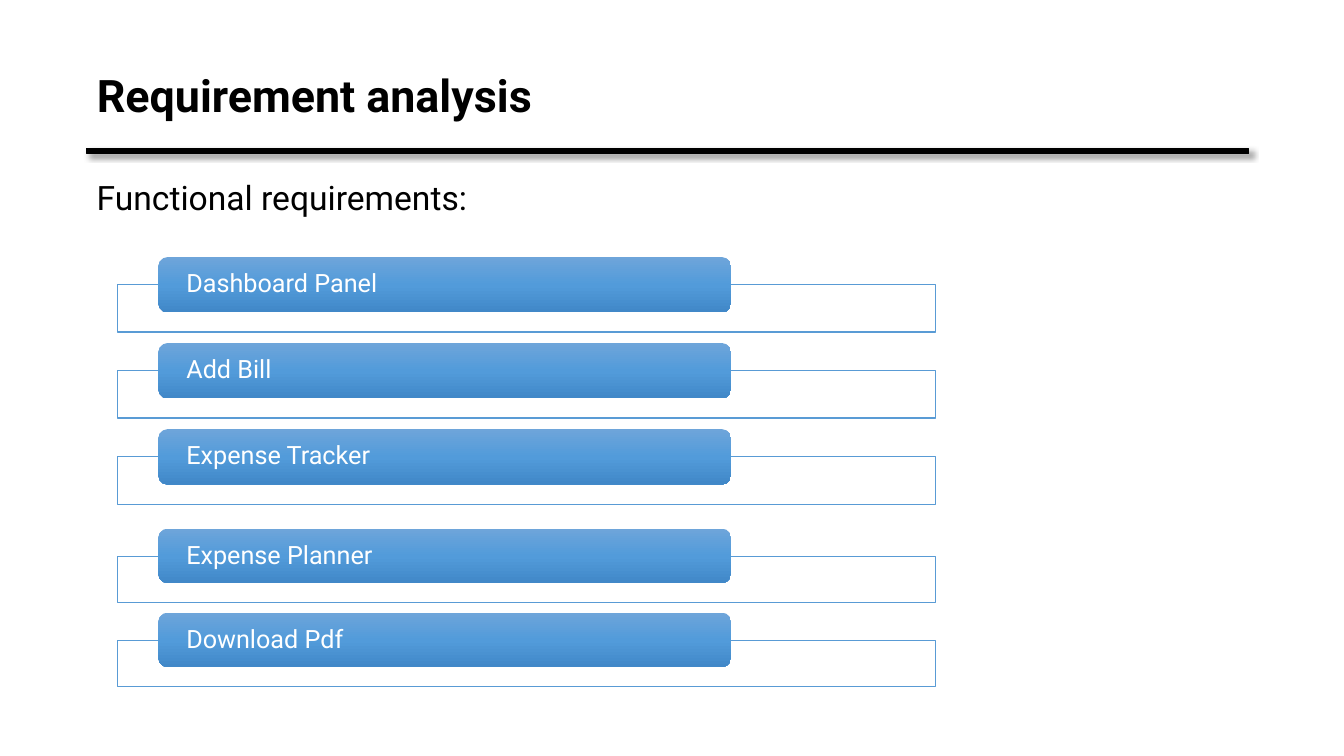
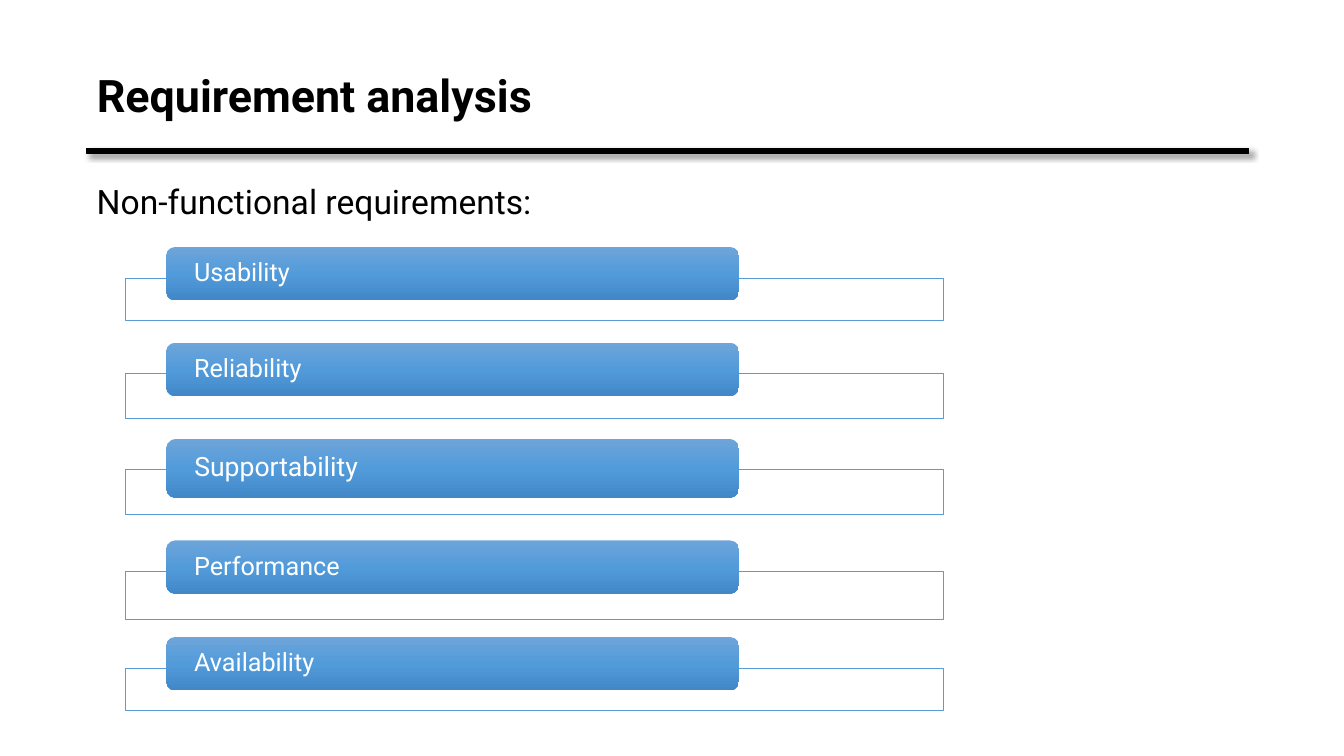
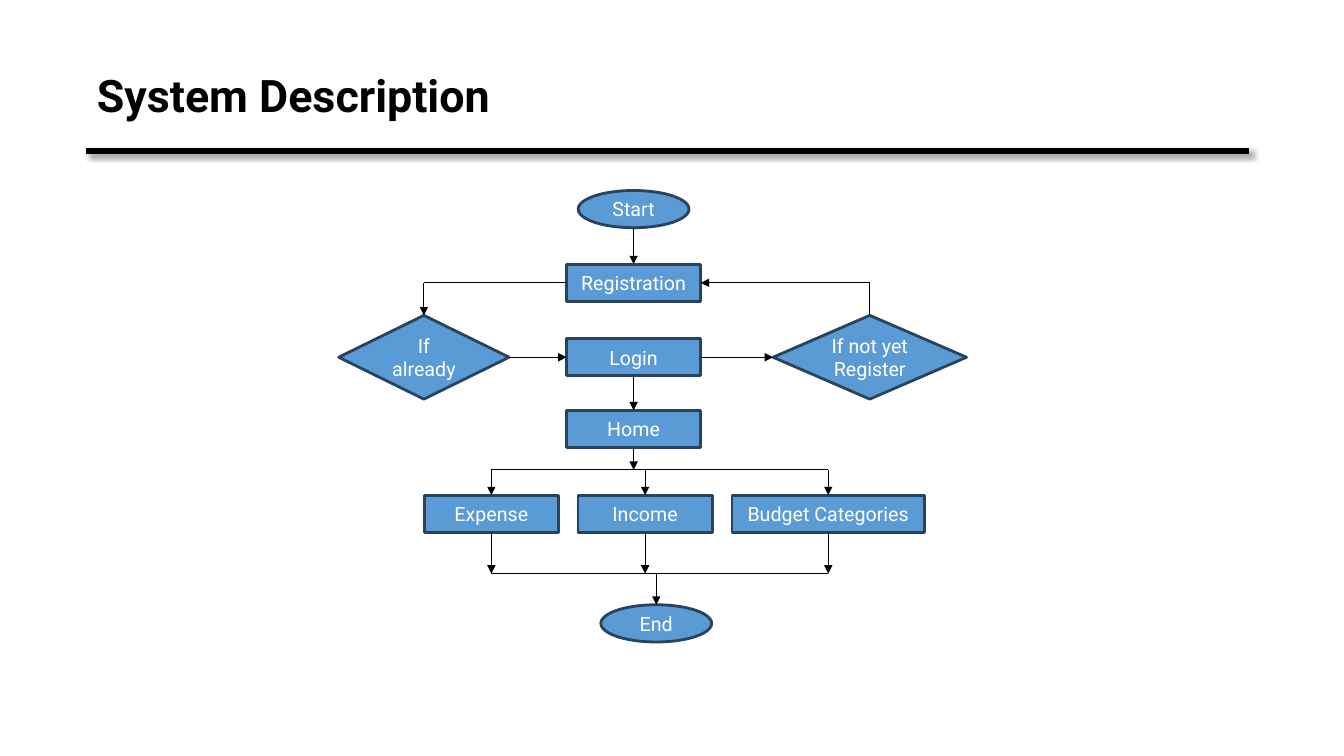
"""Build three slides on the requirements and the flow of an expense application."""
from copy import deepcopy

from lxml.etree import SubElement
from pptx import Presentation
from pptx.dml.color import RGBColor
from pptx.enum.shapes import MSO_CONNECTOR, MSO_SHAPE
from pptx.enum.text import MSO_ANCHOR, MSO_AUTO_SIZE, PP_ALIGN
from pptx.oxml.ns import qn
from pptx.util import Pt

COLORS = {
    "black": "000000",
    "white": "FFFFFF",
    "frame": "599BD5",
    "node": "5B9BD5",
    "node_line": "28445D",
}
BAR_GRADIENT = [(0, "6EA5DA"), (0.5, "529BDA"), (1, "4188C8")]
LEFT = 62

FORMATS = {
    "title": {
        "frame": {"vertical_anchor": MSO_ANCHOR.TOP},
        "paragraph": {"alignment": PP_ALIGN.LEFT},
        "font": {"size": Pt(32), "bold": True},
        "color": "black",
    },
    "subtitle": {
        "frame": {"vertical_anchor": MSO_ANCHOR.TOP},
        "paragraph": {"alignment": PP_ALIGN.LEFT},
        "font": {"size": Pt(24)},
        "color": "black",
    },
    "bar": {
        "frame": {"vertical_anchor": MSO_ANCHOR.MIDDLE, "margin_left": Pt(18),
                  "margin_top": 0, "margin_bottom": 0},
        "paragraph": {"alignment": PP_ALIGN.LEFT, "line_spacing": 0.9},
        "font": {"size": Pt(18)},
        "color": "white",
    },
    "node": {
        "frame": {"vertical_anchor": MSO_ANCHOR.MIDDLE, "margin_left": Pt(4),
                  "margin_right": Pt(4)},
        "paragraph": {"alignment": PP_ALIGN.CENTER},
        "font": {"size": Pt(14)},
        "color": "white",
    },
}


def write_text(shape, text, style):
    frame = shape.text_frame
    frame.word_wrap = True
    frame.auto_size = MSO_AUTO_SIZE.NONE
    frame.text = text
    paragraph = frame.paragraphs[0]
    font = paragraph.runs[0].font
    font.name = "Roboto"
    font.color.rgb = RGBColor.from_string(COLORS[FORMATS[style]["color"]])
    for part, target in (("frame", frame), ("paragraph", paragraph), ("font", font)):
        for name, value in FORMATS[style][part].items():
            setattr(target, name, value)
    return font


def add_box(slide, kind, box, fill, line, line_width):
    shape = slide.shapes.add_shape(kind, *map(Pt, box))
    shape.shadow.inherit = False
    shape.fill.solid()
    shape.fill.fore_color.rgb = RGBColor.from_string(COLORS[fill])
    shape.line.color.rgb = RGBColor.from_string(COLORS[line])
    shape.line.width = Pt(line_width)
    return shape


presentation = Presentation()
presentation.slide_width = Pt(960)
presentation.slide_height = Pt(540)

slides = []
for title in ("Requirement analysis", "Requirement analysis", "System Description"):
    slide = presentation.slides.add_slide(presentation.slide_layouts[5])
    slides.append(slide)
    heading = slide.shapes.title
    heading.left, heading.top, heading.width, heading.height = map(Pt, (LEFT, 44.6, 401, 46))
    write_text(heading, title, "title")
    rule = add_box(slide, MSO_SHAPE.RECTANGLE, (LEFT, 106.2, 830, 3.6), "black", "black", 1)
    effects = rule._element.spPr.find(qn("a:effectLst"))
    shadow = SubElement(effects, qn("a:outerShdw"), blurRad=str(Pt(4)), dist=str(Pt(3)),
                        dir="2700000", algn="tl", rotWithShape="0")
    shadow_color = SubElement(shadow, qn("a:srgbClr"), val=COLORS["black"])
    SubElement(shadow_color, qn("a:alpha"), val="40000")

requirement_lists = [
    {
        "subtitle": "Functional requirements:", "top": 123, "left": 84.2, "drop": 19.6,
        "rows": [
            ("Dashboard Panel", 183.6, 39.6, 34, 18),
            ("Add Bill", 245, 39.6, 34, 18),
            ("Expense Tracker", 306.5, 39.6, 34, 18),
            ("Expense Planner", 377.6, 38.9, 33.2, 18),
            ("Download Pdf", 437.6, 38.9, 33.2, 18),
        ],
    },
    {
        "subtitle": "Non-functional requirements:", "top": 126, "left": 89.8, "drop": 22.3,
        "rows": [
            ("Usability", 176.4, 38, 30.2, 18),
            ("Reliability", 244.8, 38, 31.7, 18),
            ("Supportability", 313.4, 42.2, 31.7, 19),
            ("Performance", 386, 38, 34, 18),
            ("Availability", 455, 38, 30.2, 18),
        ],
    },
]

for slide, requirements in zip(slides, requirement_lists):
    subtitle = slide.shapes.add_textbox(*map(Pt, (LEFT, requirements["top"], 778, 36)))
    write_text(subtitle, requirements["subtitle"], "subtitle")
    left = requirements["left"]
    for text, top, height, frame_height, size in requirements["rows"]:
        add_box(slide, MSO_SHAPE.RECTANGLE,
                (left, top + requirements["drop"], 584, frame_height), "white", "frame", 0.75)
        bar = add_box(slide, MSO_SHAPE.ROUNDED_RECTANGLE,
                      (left + 29, top, 409, height), "node", "node", 0.75)
        bar.line.fill.background()
        bar.fill.gradient()
        bar.fill.gradient_angle = 270
        stop_list = bar._element.spPr.find(qn("a:gradFill")).find(qn("a:gsLst"))
        stop_list.append(deepcopy(stop_list[-1]))
        for stop, (position, color) in zip(bar.fill.gradient_stops, BAR_GRADIENT):
            stop.position = position
            stop.color.rgb = RGBColor.from_string(color)
        write_text(bar, text, "bar").size = Pt(size)

slide = slides[2]
COLUMN, LOGIN_ROW, REGISTRATION_ROW, OPTION_ROW = 452.6, 255.2, 202, 367
BRANCH, MERGE = 335.6, 409.7
ALREADY, NOT_YET, END = 302.8, 621.3, 468.8
NODE_HEIGHT, DIAMOND_HEIGHT = 26.6, 59.8
OPTIONS = {"Expense": (351, 95.8), "Income": (460.8, 95.8), "Budget Categories": (591.6, 137.5)}

nodes = [
    ("Start", MSO_SHAPE.OVAL, COLUMN, 149.4, 79.2, NODE_HEIGHT),
    ("Registration", MSO_SHAPE.RECTANGLE, COLUMN, REGISTRATION_ROW, 95.8, NODE_HEIGHT),
    ("Login", MSO_SHAPE.RECTANGLE, COLUMN, LOGIN_ROW, 95.8, NODE_HEIGHT),
    ("Home", MSO_SHAPE.RECTANGLE, COLUMN, 306.4, 95.8, NODE_HEIGHT),
    ("If already", MSO_SHAPE.DIAMOND, ALREADY, LOGIN_ROW, 121.7, DIAMOND_HEIGHT),
    ("If not yet Register", MSO_SHAPE.DIAMOND, NOT_YET, LOGIN_ROW, 138.2, DIAMOND_HEIGHT),
    ("End", MSO_SHAPE.OVAL, END, 445.3, 79.2, NODE_HEIGHT),
]
for text, (center, width) in OPTIONS.items():
    nodes.append((text, MSO_SHAPE.RECTANGLE, center, OPTION_ROW, width, NODE_HEIGHT))

shapes = {}
for text, kind, center, middle, width, height in nodes:
    box = (center - width / 2, middle - height / 2, width, height)
    shapes[text] = add_box(slide, kind, box, "node", "node_line", 2)
    write_text(shapes[text], text, "node")

TOP, SIDE_LEFT, BOTTOM, SIDE_RIGHT = range(4)
links = [
    ((COLUMN, 162.7), ("Registration", TOP), True),
    (("Registration", SIDE_LEFT), (ALREADY, REGISTRATION_ROW), False),
    ((ALREADY, REGISTRATION_ROW), ("If already", TOP), True),
    (("If already", SIDE_RIGHT), ("Login", SIDE_LEFT), True),
    (("Login", SIDE_RIGHT), ("If not yet Register", SIDE_LEFT), True),
    (("If not yet Register", TOP), (NOT_YET, REGISTRATION_ROW), False),
    ((NOT_YET, REGISTRATION_ROW), ("Registration", SIDE_RIGHT), True),
    (("Login", BOTTOM), ("Home", TOP), True),
    (("Home", BOTTOM), (COLUMN, BRANCH), True),
    ((OPTIONS["Expense"][0], BRANCH), (OPTIONS["Budget Categories"][0], BRANCH), False),
    ((OPTIONS["Expense"][0], MERGE), (OPTIONS["Budget Categories"][0], MERGE), False),
    ((END, MERGE), ("End", TOP), True),
]
for text, (center, width) in OPTIONS.items():
    links.append(((center, BRANCH), (text, TOP), True))
    links.append(((text, BOTTOM), (center, MERGE), True))

for begin, end, arrow in links:
    begin_joined, end_joined = begin[0] in shapes, end[0] in shapes
    begin_point = (0, 0) if begin_joined else begin
    end_point = (0, 0) if end_joined else end
    connector = slide.shapes.add_connector(MSO_CONNECTOR.STRAIGHT,
                                           *map(Pt, begin_point + end_point))
    if begin_joined:
        connector.begin_connect(shapes[begin[0]], begin[1])
    if end_joined:
        connector.end_connect(shapes[end[0]], end[1])
    connector.line.color.rgb = RGBColor.from_string(COLORS["black"])
    connector.line.width = Pt(0.75)
    if arrow:
        SubElement(connector.line._get_or_add_ln(), qn("a:tailEnd"), type="triangle")
    SubElement(connector._element.spPr, qn("a:effectLst"))

presentation.save("out.pptx")
